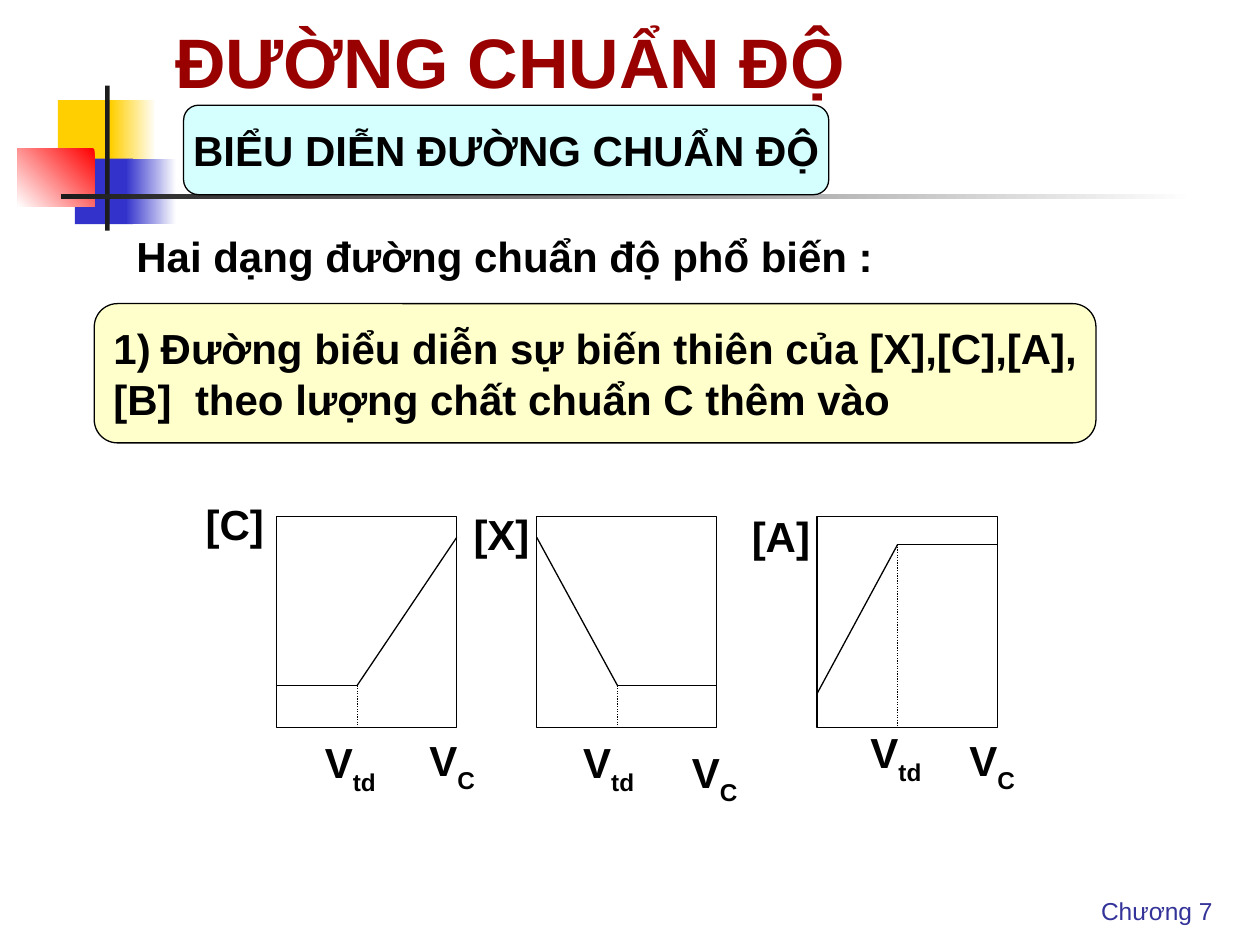
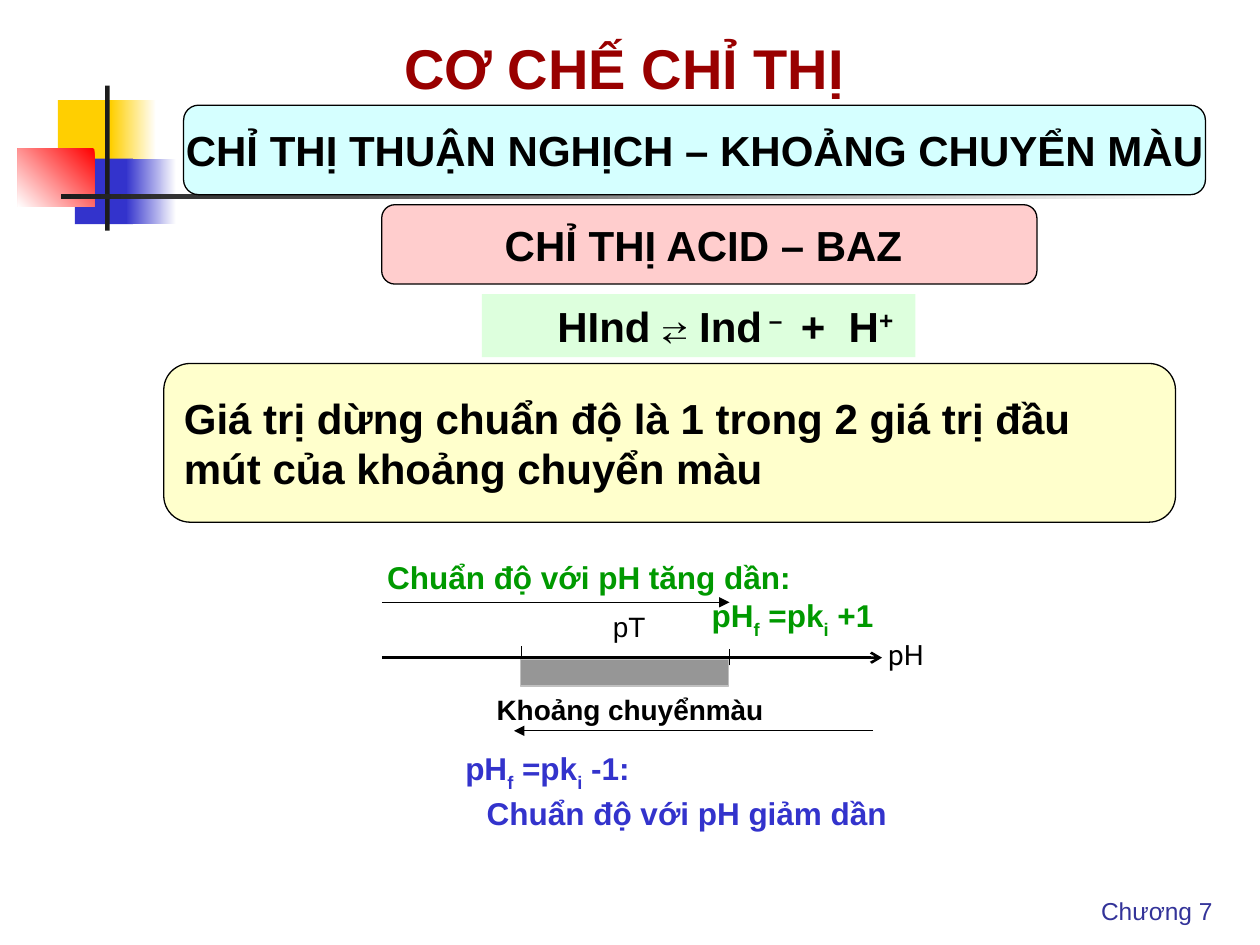
from itertools import pairwise

from lxml import etree
from pptx import Presentation
from pptx.dml.color import RGBColor
from pptx.enum.dml import MSO_LINE
from pptx.enum.shapes import MSO_CONNECTOR, MSO_SHAPE
from pptx.enum.text import MSO_ANCHOR, PP_ALIGN
from pptx.oxml.ns import qn
from pptx.util import Inches, Pt

RECT, ROUND = MSO_SHAPE.RECTANGLE, MSO_SHAPE.ROUNDED_RECTANGLE
STRAIGHT, DOTTED = MSO_CONNECTOR.STRAIGHT, MSO_LINE.ROUND_DOT
TOP, MIDDLE, BOTTOM = MSO_ANCHOR.TOP, MSO_ANCHOR.MIDDLE, MSO_ANCHOR.BOTTOM
LEFT, CENTER = PP_ALIGN.LEFT, PP_ALIGN.CENTER

BLACK = RGBColor(0x00, 0x00, 0x00)
WHITE = RGBColor(0xFF, 0xFF, 0xFF)
INK = RGBColor(0x1C, 0x1C, 0x1C)
GOLD = RGBColor(0xFF, 0xCF, 0x01)
BLUE = RGBColor(0x33, 0x33, 0xCC)
RED = RGBColor(0xFF, 0x00, 0x00)
NAVY = RGBColor(0x33, 0x33, 0x99)
MAROON = RGBColor(0x99, 0x00, 0x00)
GREEN = RGBColor(0x00, 0x99, 0x00)
CYAN_FILL = RGBColor(0xD5, 0xFF, 0xFF)
YELLOW_FILL = RGBColor(0xFF, 0xFF, 0xCC)
PINK_FILL = RGBColor(0xFF, 0xCD, 0xCD)
MINT_FILL = RGBColor(0xDD, 0xFF, 0xDD)
GREY = RGBColor(0x96, 0x96, 0x96)
SILVER = RGBColor(0xC0, 0xC0, 0xC0)
FONT = "Arial"
SUB, SUPER = -30000, 30000

# Vietnamese tone marks are stored as combining characters after the vowel
MARKS = [
    (0x300, "ờàừầỜ", "ơaưâƠ"),
    (0x301, "ếấáớú", "êâaơu"),
    (0x303, "ễỄ", "êÊ"),
    (0x309, "ẩểổủảẨỂỈ", "âêôuaÂÊI"),
    (0x323, "ộạựợịỘỊ", "ôaươiÔI"),
]
TONES = {ord(letter): vowel + chr(mark)
         for mark, letters, vowels in MARKS for letter, vowel in zip(letters, vowels)}

prs = Presentation()
prs.slide_width, prs.slide_height = Inches(10), Inches(7.5)

# Grid: 100 columns by 75 rows
COL, ROW = prs.slide_width / 100, prs.slide_height / 75


def add_box(s, at, paras=(), shape=None, fill=None, fade=None, angle=180,
            line=None, size=24, color=BLACK, bold=True, font=FONT, tones=TONES,
            align=LEFT, anchor=TOP, wrap=True, indents=(0, 0)):
    """Shape, or text box when shape is None; a run is (text, baseline, font)."""
    frame = [int(v * unit) for v, unit in zip(at, (COL, ROW, COL, ROW))]
    if shape is None:
        sp = s.shapes.add_textbox(*frame)
    else:
        sp = s.shapes.add_shape(shape, *frame)
        sp.shadow.inherit = False
        if fade is not None:
            sp.fill.gradient()
            sp.fill.gradient_angle = angle
            for stop, shade in zip(sp.fill.gradient_stops, (fill, fade)):
                stop.color.rgb = shade
        else:
            sp.fill.solid()
            sp.fill.fore_color.rgb = fill
        if line is not None:
            sp.line.color.rgb = line
            sp.line.width = Pt(0.75)
        else:
            sp.line.fill.background()
    tf = sp.text_frame
    tf.word_wrap, tf.vertical_anchor = wrap, anchor
    for i, (runs, indent) in enumerate(zip(paras, indents)):
        p = tf.paragraphs[0] if i == 0 else tf.add_paragraph()
        p.alignment = align
        p._p.get_or_add_pPr().set("marL", str(int(indent * COL)))
        for text, base, *face in [(runs, 0)] if isinstance(runs, str) else runs:
            r = p.add_run()
            r.text = text.translate(tones)
            style = {"size": Pt(size), "bold": bold, "name": face[0] if face else font}
            for key, value in style.items():
                setattr(r.font, key, value)
            r.font.color.rgb = color
            if base:
                r._r.get_or_add_rPr().set("baseline", str(base))
    return sp


def add_line(s, start, end, width=0.75, dash=None, arrow=None):
    c = s.shapes.add_connector(STRAIGHT, int(start[0] * COL), int(start[1] * ROW),
                               int(end[0] * COL), int(end[1] * ROW))
    c.line.color.rgb = BLACK
    c.line.width = Pt(width)
    if dash is not None:
        c.line.dash_style = dash
    if arrow:
        etree.SubElement(c.line._get_or_add_ln(), qn("a:tailEnd"), type=arrow)
    etree.SubElement(c._element.spPr, qn("a:effectLst"))


# Shared decoration: fill, fade colour and angle of each block
DECOR = [
    ((4.6, 7.95, 4.8, 5.2), GOLD, None, 0),
    ((8.8, 7.95, 3.6, 5.2), WHITE, GOLD, 180),
    ((5.95, 12.6, 4.6, 5.2), BLUE, None, 0),
    ((10, 12.6, 4, 5.2), WHITE, BLUE, 180),
    ((1.4, 11.8, 6.1, 4.6), RED, WHITE, 225),
    ((8.35, 6.8, 0.35, 11.5), INK, None, 0),
    ((4.85, 15.42, 90, 0.35), WHITE, INK, 180),
]
# Title place, title, title size, banner width, banner text
HEADS = [
    ((12.95, 0, 58.7, 8.65), "ĐƯỜNG CHUẨN ĐỘ", 40, 51.2,
     "BIỂU DIỄN ĐƯỜNG CHUẨN ĐỘ".translate(TONES)),
    ((31.1, 2.05, 38.2, 6.4), "CƠ CHẾ CHỈ THỊ", 32, 81.1,
     "CHỈ THỊ THUẬN NGHỊCH – KHOẢNG CHUYỂN MÀU"),
]
PANEL = {"shape": ROUND, "line": BLACK, "anchor": MIDDLE, "wrap": False}
# Headings in composed letters
HEADING = {"align": CENTER, "tones": {}, **PANEL}

slides = []
for title_at, title, title_size, banner_width, banner in HEADS:
    s = prs.slides.add_slide(prs.slide_layouts[6])
    for at, fill, fade, angle in DECOR:
        add_box(s, at, shape=RECT, fill=fill, fade=fade, angle=angle)
    add_box(s, (86.4, 70.6, 11.6, 3.4), ["Chương 7"], size=14, color=NAVY, bold=False)
    # The acute capital stays composed: it is not in the marks table
    add_box(s, title_at, [title], size=title_size, color=MAROON, anchor=BOTTOM)
    add_box(s, (14.57, 8.35, banner_width, 7.1), [banner], fill=CYAN_FILL, **HEADING)
    slides.append(s)

# Slide 1: the statement
s = slides[0]
add_box(s, (9.84, 17.8, 85.5, 5), ["Hai dạng đường chuẩn độ phổ biến :"])
sp = add_box(s, (7.48, 24.1, 79.5, 11.05),
             ["Đường biểu diễn sự biến thiên của [X],[C],[A],",
              "[B]  theo lượng chất chuẩn C thêm vào"],
             fill=YELLOW_FILL, indents=(3.75, 0), **PANEL)
pPr = sp.text_frame.paragraphs[0]._p.get_or_add_pPr()
pPr.set("indent", str(int(-3.75 * COL)))
etree.SubElement(pPr, qn("a:buFont"), typeface=FONT)
etree.SubElement(pPr, qn("a:buAutoNum"), type="arabicParenR")

# Slide 1: three titration curves, with heights at start, knee and end
PLOT_TOP, PLOT_W, PLOT_H, KNEE = 41, 14.3, 16.75, 6.4
PLOTS = [
    (21.95, (54.4, 54.4, 42.65), "[C]", (15.33, 39.1), (24.8, 58), (33.1, 57.8)),
    (42.6, (42.65, 54.4, 54.4), "[X]", (36.6, 39.9), (45.3, 58), (53.93, 58.75)),
    (64.85, (55.05, 43.2, 43.2), "[A]", (58.68, 40), (68.1, 57.2), (75.95, 57.8)),
]
for left, heights, name, name_at, td_at, c_at in PLOTS:
    add_box(s, (left, PLOT_TOP, PLOT_W, PLOT_H), shape=RECT, fill=WHITE, line=BLACK)
    curve = list(zip((left, left + KNEE, left + PLOT_W), heights))
    for start, end in pairwise(curve):
        add_line(s, start, end)
    add_line(s, curve[1], (left + KNEE, PLOT_TOP + PLOT_H), dash=DOTTED)
    add_box(s, (*name_at, 7.9, 4.5), [name])
    for sub, at in (("td", td_at), ("C", c_at)):
        add_box(s, (*at, 7.2, 9.7), [[("V", 0), (sub, SUB)]])

# Slide 2: indicator type, equilibrium and rule
s = slides[1]
add_box(s, (30.3, 16.25, 52, 6.3), ["CHỈ THỊ ACID – BAZ "], fill=PINK_FILL, **HEADING)
add_box(s, (13, 28.85, 80.3, 12.6),
        ["Giá trị dừng chuẩn độ là 1 trong 2 giá trị đầu", "mút của khoảng chuyển màu"],
        fill=YELLOW_FILL, **PANEL)
add_box(s, (38.25, 23.35, 34.4, 5),
        [[("HInd ", 0), ("⇄", 0, "Courier New"), (" Ind", 0), (" – ", SUPER),
          (" +  H", 0), ("+", SUPER)]],
        shape=RECT, fill=MINT_FILL, wrap=False, indents=(5,))

# Slide 2: pH axis, colour-change range and the two directions
RANGE_L, RANGE_R, AXIS_L, AXIS_Y = 41.4, 57.9, 30.3, 52.2
add_line(s, (RANGE_L, 52.6), (RANGE_L, 51.3))
add_line(s, (RANGE_R, 52.8), (RANGE_R, 51.5))
add_line(s, (AXIS_L, AXIS_Y), (70, AXIS_Y), width=1.5, arrow="arrow")
add_line(s, (AXIS_L, 47.8), (RANGE_R, 47.8), arrow="triangle")
add_line(s, (69.3, 58), (40.8, 58), arrow="triangle")
add_box(s, (41.3, 52.35, 16.5, 2.1), shape=RECT, fill=GREY, line=SILVER)

final_ph = [("pH", 0), ("f", SUB), (" =pk", 0), ("i", SUB)]
add_box(s, (29.15, 43.8, 43, 5),
        ["Chuẩn độ với pH tăng dần:", final_ph + [(" +1", 0)]],
        size=18, color=GREEN, indents=(0.6, 26.35))
add_box(s, (28, 58.95, 43.7, 6.2),
        [final_ph + [(" -1:", 0)], "Chuẩn độ với pH giảm dần"],
        size=18, color=BLUE, indents=(7.95, 9.65))
add_box(s, (69.5, 50.1, 5.9, 5), ["pH"], size=16, bold=False, font="Roboto")
add_box(s, (47.65, 47.85, 5.9, 5), ["pT"], size=16, bold=False)
add_box(s, (37.9, 53.8, 23.7, 5), ["Khoảng chuyểnmàu"], size=16, anchor=MIDDLE,
        indents=(0.53,))

prs.save("out.pptx")
